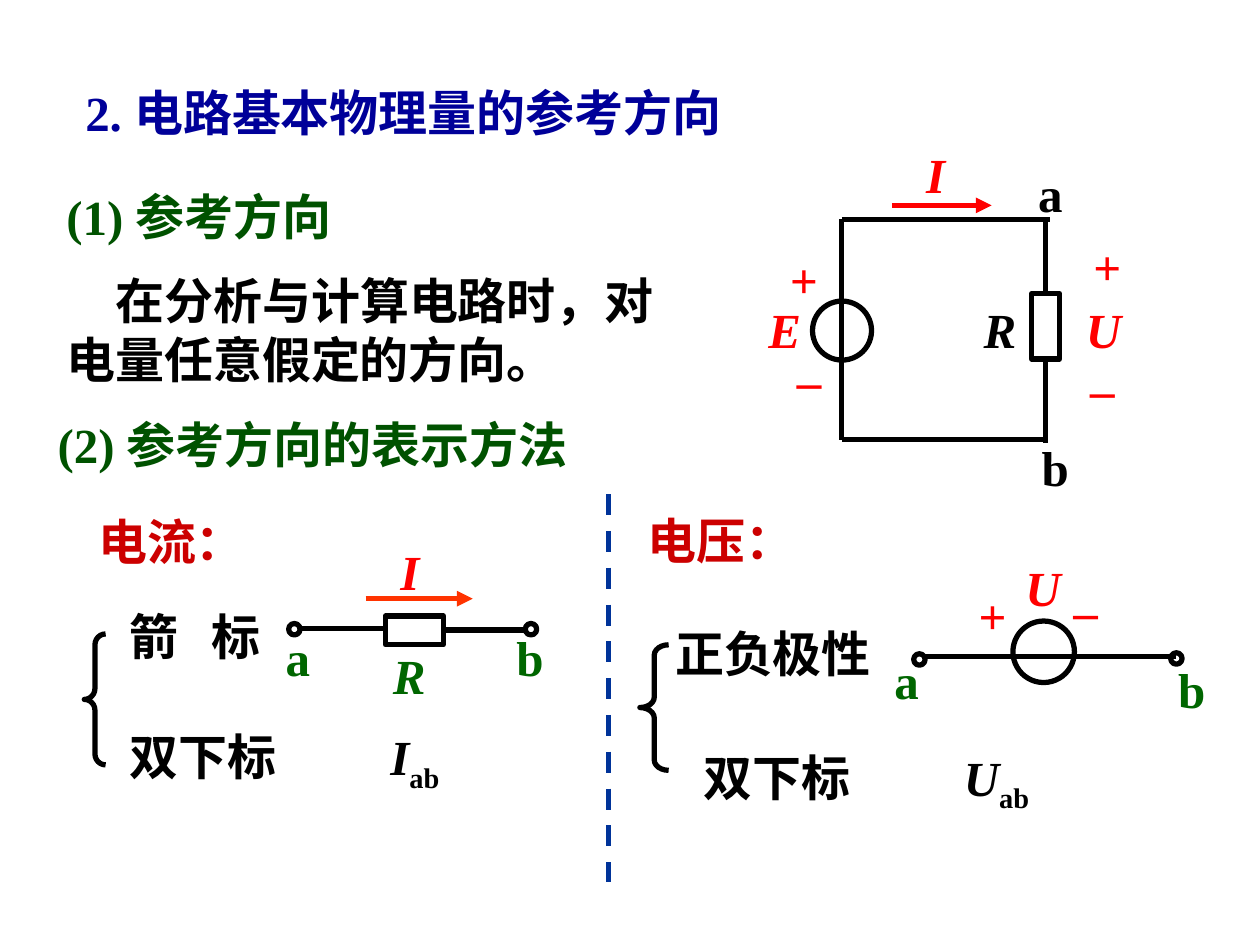
from pptx import Presentation
from pptx.dml.color import RGBColor
from pptx.enum.dml import MSO_LINE
from pptx.enum.shapes import MSO_CONNECTOR, MSO_SHAPE
from pptx.enum.text import MSO_ANCHOR, PP_ALIGN
from pptx.oxml.ns import qn
from pptx.util import Cm, Pt
from lxml.etree import SubElement

BLACK = RGBColor(0x00, 0x00, 0x00)
RED = RGBColor(0xFF, 0x00, 0x00)
ORANGE = RGBColor(0xFF, 0x33, 0x00)
CRIMSON = RGBColor(0xCC, 0x00, 0x00)
NAVY = RGBColor(0x00, 0x00, 0x99)
BLUE = RGBColor(0x00, 0x33, 0x99)
DARK_GREEN = RGBColor(0x00, 0x52, 0x00)
GREEN = RGBColor(0x00, 0x66, 0x00)
SERIF, SANS = "Times New Roman", "Lato"
SUBSCRIPT = "-25000"
LABEL_WIDTH, LABEL_HEIGHT = 1.17, 1.45

# Sentences and headings: runs of (text, font, italic, baseline), box in cm, format
TEXTS = [
    ([("2. 电路基本物理量的参考方向",)], (1.47, 1.3, 17.83, 1.68),
     dict(color=NAVY, line_spacing=1.2)),
    ([("(1) ",), ("参考方向", SANS)], (1.09, 3.63, 7.42, 1.45), dict(color=DARK_GREEN)),
    ([("在分析与计算电路时，对电量任意假定的方向。",)], (1.09, 5.33, 13.23, 2.64),
     dict(indent=Pt(28))),
    ([("(2) ",), ("参考方向的表示方法", SANS)], (0, 7.92, 12.6, 2.06),
     dict(color=DARK_GREEN, align=PP_ALIGN.CENTER, anchor=MSO_ANCHOR.MIDDLE, wrap=False)),
    ([("电流：",)], (1.73, 9.96, 4.62, 1.68), dict(color=CRIMSON, line_spacing=1.2)),
    ([("电压：",)], (12.8, 10.16, 3.71, 1.45), dict(color=CRIMSON)),
    ([("箭\t标",)], (2.36, 11.86, 4.19, 1.68), dict(line_spacing=1.2, tab=Cm(1.65))),
    ([("双下标",)], (2.36, 14.53, 3.76, 1.45), {}),
    ([("I", SERIF, True), ("ab", SERIF, False, SUBSCRIPT)], (7.62, 14.53, 1.5, 1.6),
     dict(wrap=False)),
    ([("正负极性",)], (13.36, 12.45, 4.45, 1.45), dict(wrap=False)),
    ([("双下标",)], (13.94, 14.94, 3.92, 1.45), {}),
    ([("U", SERIF, True), ("ab", SERIF, False, SUBSCRIPT)], (19.18, 14.94, 1.83, 1.6),
     dict(wrap=False)),
    ([("U", SERIF, True)], (20.42, 11.43, 1.57, 1.09), dict(color=RED, line_spacing=0.7)),
]

# One-letter labels: text, left, top, colour, italic
LABELS = [
    # Circuit
    ("I", 18.42, 2.79, RED, True),
    ("E", 15.24, 5.92, RED, True),
    ("+", 15.67, 4.9, RED, True),
    ("_", 15.88, 6.6, RED, True),
    ("a", 20.68, 3.18, BLACK, False),
    ("b", 20.75, 8.69, BLACK, False),
    ("R", 19.58, 5.92, BLACK, True),
    ("U", 21.64, 5.92, RED, True),
    ("+", 21.79, 4.65, RED, False),
    ("_", 21.79, 6.78, RED, True),
    # Current
    ("a", 5.51, 12.52, GREEN, False),
    ("b", 10.16, 12.52, GREEN, False),
    ("R", 7.67, 12.88, GREEN, True),
    ("I", 7.82, 10.8, RED, True),
    # Voltage
    ("+", 19.48, 11.68, RED, False),
    ("–", 21.39, 11.58, RED, False),
    ("a", 17.78, 12.98, GREEN, False),
    ("b", 23.5, 13.18, GREEN, False),
]

# Corners of the circuit loop
LEFT, RIGHT, TOP, BOTTOM = 16.97, 21.08, 4.42, 8.86
WIRES = [
    (LEFT, TOP, RIGHT + 0.08, TOP),
    (LEFT, BOTTOM, RIGHT + 0.05, BOTTOM),
    (LEFT, TOP, LEFT, BOTTOM),
    (RIGHT, TOP, RIGHT, 5.92),
    (RIGHT, 7.24, RIGHT, BOTTOM + 0.08),
    (6.02, 12.67, 7.77, 12.67),
    (8.94, 12.7, 10.59, 12.7),
    (18.62, 13.23, 23.7, 13.23),
]
ARROWS = [((17.98, 4.14, 19.99, 4.14), RED), ((7.37, 12.07, 9.53, 12.07), ORANGE)]
DIVIDER = (12.27, 9.96, 12.27, 17.78)

RESISTORS = [(20.8, 5.92, 0.56, 1.32), (7.77, 12.42, 1.17, 0.58)]
SOURCES = [(16.38, 6.07, 1.19, 1.19), (20.42, 12.52, 1.24, 1.24)]
TERMINALS = [(left, top, 0.23, 0.23) for left, top in
             [(5.82, 12.57), (10.59, 12.57), (18.42, 13.18), (23.6, 13.16)]]
BRACES = [((1.7, 12.78, 0.43, 2.64), 0.51), ((12.9, 13, 0.58, 2.53), 0.36)]


def add_text(slide, runs, box, color=BLACK, align=PP_ALIGN.LEFT, anchor=MSO_ANCHOR.TOP,
             wrap=True, line_spacing=None, indent=None, tab=None):
    frame = slide.shapes.add_textbox(*map(Cm, box)).text_frame
    frame.word_wrap = wrap
    frame.vertical_anchor = anchor
    paragraph = frame.paragraphs[0]
    paragraph.alignment = align
    if line_spacing:
        paragraph.line_spacing = line_spacing
    properties = paragraph._p.get_or_add_pPr()
    if indent:
        properties.set("indent", str(indent))
    if tab:
        tabs = SubElement(properties, qn("a:tabLst"))
        SubElement(tabs, qn("a:tab"), pos=str(tab), algn="l")
    for text, *style in runs:
        font_name, italic, baseline = (style + [SERIF, False, None][len(style):])
        run = paragraph.add_run()
        run.text = text
        font = run.font
        font.name, font.size, font.bold, font.italic = font_name, Pt(28), True, italic
        font.color.rgb = color
        if baseline:
            run._r.get_or_add_rPr().set("baseline", baseline)


def add_line(slide, ends, color=BLACK, dash=None, arrow=False):
    line = slide.shapes.add_connector(MSO_CONNECTOR.STRAIGHT, *map(Cm, ends))
    line.line.color.rgb = color
    line.line.width = Pt(3)
    if dash:
        line.line.dash_style = dash
    if arrow:
        SubElement(line.line._get_or_add_ln(), qn("a:tailEnd"), type="triangle")
    SubElement(line._element.spPr, qn("a:effectLst"))


def add_outline(slide, kind, box):
    shape = slide.shapes.add_shape(kind, *map(Cm, box))
    shape.shadow.inherit = False
    shape.fill.background()
    shape.line.color.rgb = BLACK
    shape.line.width = Pt(3)
    return shape


def main():
    presentation = Presentation()
    presentation.slide_width, presentation.slide_height = Cm(25.4), Cm(19.05)
    slide = presentation.slides.add_slide(presentation.slide_layouts[6])

    # Wires, arrows and the divider
    for ends in WIRES:
        add_line(slide, ends)
    for ends, color in ARROWS:
        add_line(slide, ends, color, arrow=True)
    add_line(slide, DIVIDER, BLUE, dash=MSO_LINE.DASH)

    # Circuit parts and braces
    for box in RESISTORS:
        add_outline(slide, MSO_SHAPE.RECTANGLE, box)
    for box in SOURCES + TERMINALS:
        add_outline(slide, MSO_SHAPE.OVAL, box)
    for box, curve in BRACES:
        brace = add_outline(slide, MSO_SHAPE.LEFT_BRACE, box)
        brace.adjustments[0] = curve

    # Text
    for runs, box, style in TEXTS:
        add_text(slide, runs, box, **style)
    for text, left, top, color, italic in LABELS:
        add_text(slide, [(text, SERIF, italic)], (left, top, LABEL_WIDTH, LABEL_HEIGHT),
                 color=color)

    presentation.save("out.pptx")


if __name__ == "__main__":
    main()
